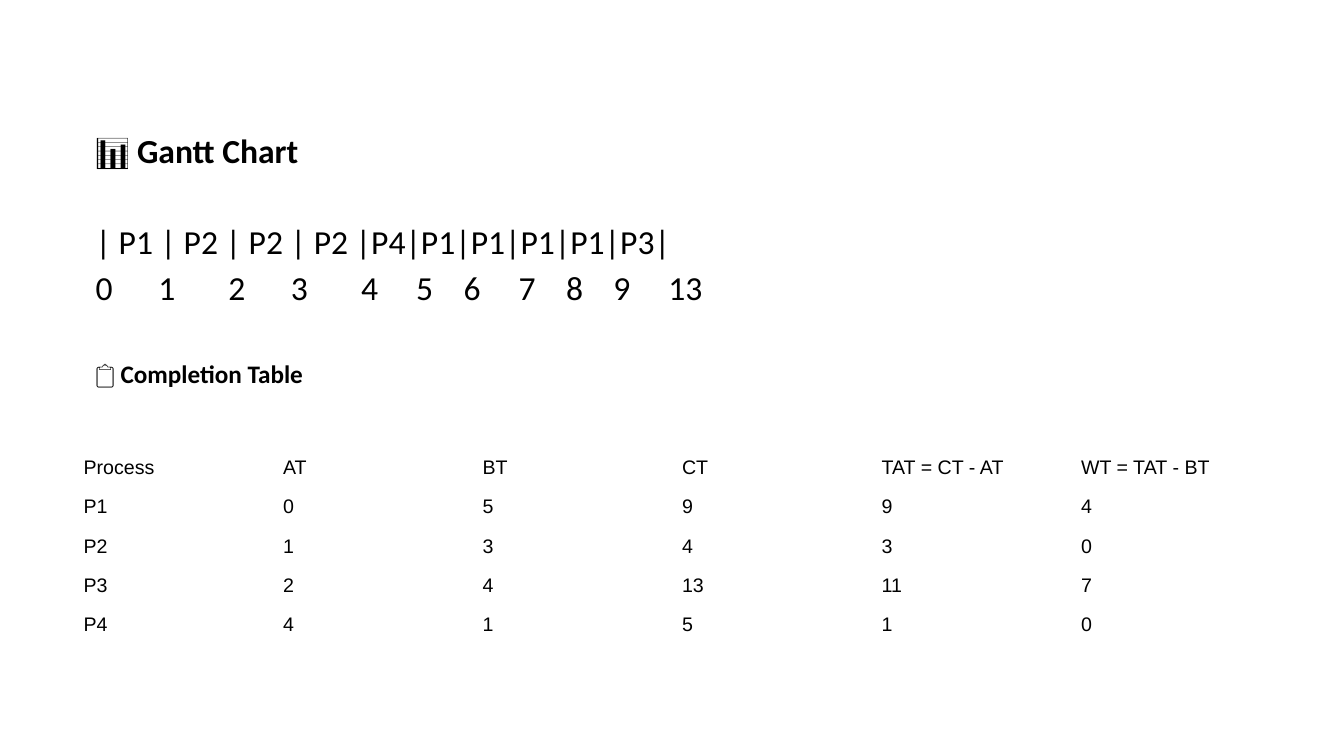
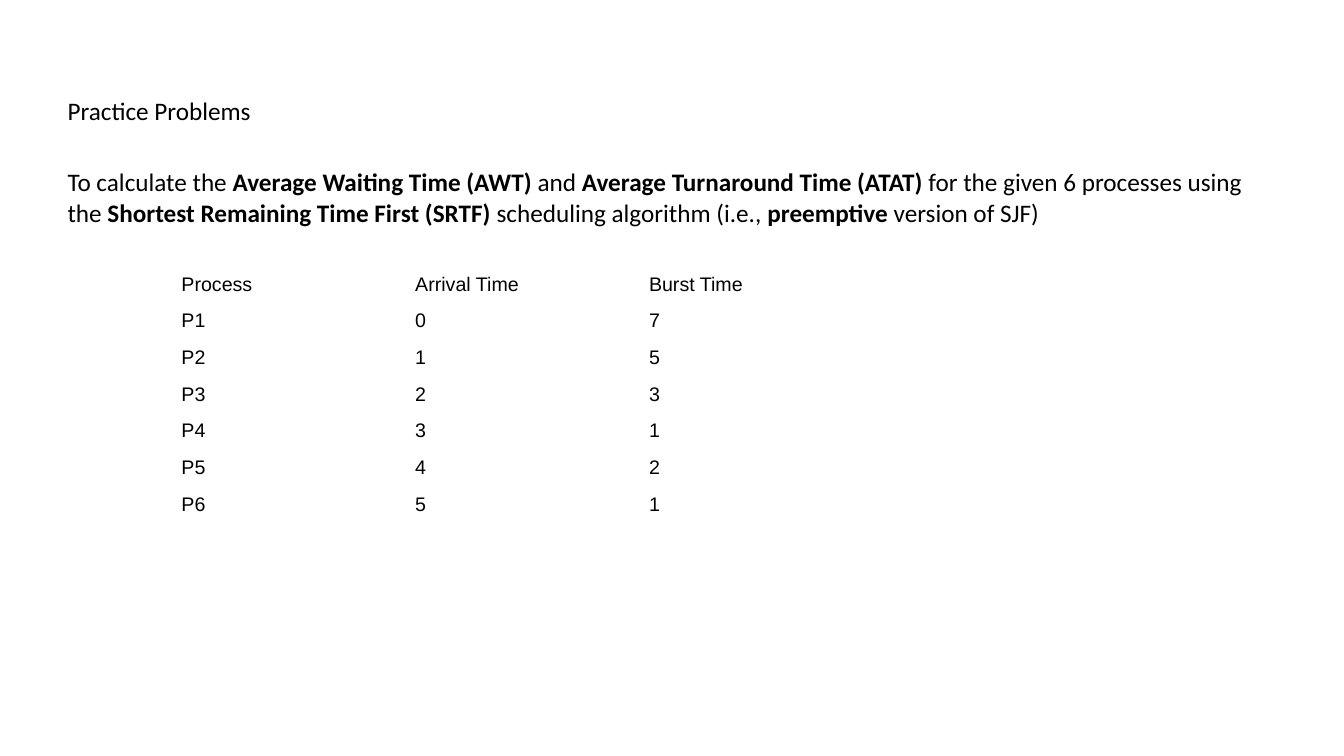
"""Build two slides on preemptive process scheduling."""
from dataclasses import dataclass

from pptx import Presentation
from pptx.dml.color import RGBColor
from pptx.enum.text import MSO_ANCHOR
from pptx.oxml.ns import qn
from pptx.slide import Slide
from pptx.text.text import Font
from lxml.etree import SubElement
from pptx.util import Pt

COLORS = {"text": "000000"}
BODY_FONT, TABLE_FONT = "Calibri", "Arial"
TABLE_SIZE = 14
LINE_GAP, SECTION_GAP = 3.6, 1.22
TIME_STOPS = (44.7, 94.8, 139.5, 189.7, 228.9, 262.8, 302.1, 336, 369.8, 409.1)


@dataclass(frozen=True)
class Span:
    text: str
    bold: bool = False


@dataclass(frozen=True)
class Line:
    spans: tuple[Span, ...]
    size: float
    space_before: float = 0
    tab_stops: tuple[float, ...] = ()


@dataclass(frozen=True)
class Box:
    left: float
    top: float
    width: float
    height: float


@dataclass(frozen=True)
class Grid:
    left: float
    top: float
    column_widths: tuple[float, ...]
    row_height: float
    rows: tuple[tuple[str, ...], ...]


@dataclass(frozen=True)
class Page:
    body: Box
    lines: tuple[Line, ...]
    grid: Grid


def section_gap(size: float) -> float:
    return round(2 * LINE_GAP + SECTION_GAP * size, 2)


PAGES = (
    Page(
        Box(52.5, 89.3, 855, 394.5),
        (
            Line((Span("📊 "), Span("Gantt Chart", True)), 24),
            Line((Span("| P1 | P2 | P2 | P2 |P4|P1|P1|P1|P1|P3|"),), 24, section_gap(24)),
            Line((Span("0\t1\t2\t3\t4\t5\t6\t7\t8\t9\t13"),), 24, LINE_GAP, TIME_STOPS),
            Line((Span("📋 "), Span("Completion Table", True)), 18, section_gap(24)),
        ),
        Grid(52.5, 320.4, (142.5,) * 6, 27.9, (
            ("Process", "AT", "BT", "CT", "TAT = CT - AT", "WT = TAT - BT"),
            ("P1", "0", "5", "9", "9", "4"),
            ("P2", "1", "3", "4", "3", "0"),
            ("P3", "2", "4", "13", "11", "7"),
            ("P4", "4", "1", "5", "1", "0"),
        )),
    ),
    Page(
        Box(32.4, 64.8, 875, 418),
        (
            Line((Span("Practice Problems"),), 18),
            Line((
                Span("To calculate the "),
                Span("Average Waiting Time (AWT)", True),
                Span(" and "),
                Span("Average Turnaround Time (ATAT)", True),
                Span(" for the given 6 processes using the "),
                Span("Shortest Remaining Time First (SRTF)", True),
                Span(" scheduling algorithm (i.e., "),
                Span("preemptive", True),
                Span(" version of SJF)"),
            ), 18, section_gap(18)),
        ),
        Grid(122.4, 190.1, (167, 167, 146), 26.2, (
            ("Process", "Arrival Time", "Burst Time"),
            ("P1", "0", "7"),
            ("P2", "1", "5"),
            ("P3", "2", "3"),
            ("P4", "3", "1"),
            ("P5", "4", "2"),
            ("P6", "5", "1"),
        )),
    ),
)


def style_font(font: Font, name: str, size: float, bold: bool = False) -> None:
    font.name = name
    font.size = Pt(size)
    font.bold = bold
    font.color.rgb = RGBColor.from_string(COLORS["text"])


def draw_body(slide: Slide, box: Box, lines: tuple[Line, ...]) -> None:
    shape = slide.shapes.add_textbox(Pt(box.left), Pt(box.top), Pt(box.width), Pt(box.height))
    text_frame = shape.text_frame
    text_frame.word_wrap = True
    text_frame.margin_left = Pt(15.84)
    for index, line in enumerate(lines):
        paragraph = text_frame.add_paragraph() if index else text_frame.paragraphs[0]
        paragraph.space_before = Pt(line.space_before)
        if line.tab_stops:
            tab_list = SubElement(paragraph._p.get_or_add_pPr(), qn("a:tabLst"))
            for stop in line.tab_stops:
                SubElement(tab_list, qn("a:tab"), pos=str(Pt(stop)), algn="l")
        for span in line.spans:
            run = paragraph.add_run()
            run.text = span.text
            style_font(run.font, BODY_FONT, line.size, span.bold)


def draw_table(slide: Slide, grid: Grid) -> None:
    row_count, column_count = len(grid.rows), len(grid.column_widths)
    table = slide.shapes.add_table(
        row_count, column_count, Pt(grid.left), Pt(grid.top),
        Pt(sum(grid.column_widths)), Pt(grid.row_height * row_count),
    ).table
    table.first_row = table.horz_banding = False
    for column, width in zip(table.columns, grid.column_widths):
        column.width = Pt(width)
    for row, values in zip(table.rows, grid.rows):
        row.height = Pt(grid.row_height)
        for cell, value in zip(row.cells, values):
            cell.fill.background()
            cell.vertical_anchor = MSO_ANCHOR.MIDDLE
            cell.text_frame.text = value
            style_font(cell.text_frame.paragraphs[0].runs[0].font, TABLE_FONT, TABLE_SIZE)


def main() -> None:
    presentation = Presentation()
    presentation.slide_width, presentation.slide_height = Pt(960), Pt(540)
    for page in PAGES:
        slide = presentation.slides.add_slide(presentation.slide_layouts[6])
        draw_body(slide, page.body, page.lines)
        draw_table(slide, page.grid)
    presentation.save("out.pptx")


if __name__ == "__main__":
    main()
